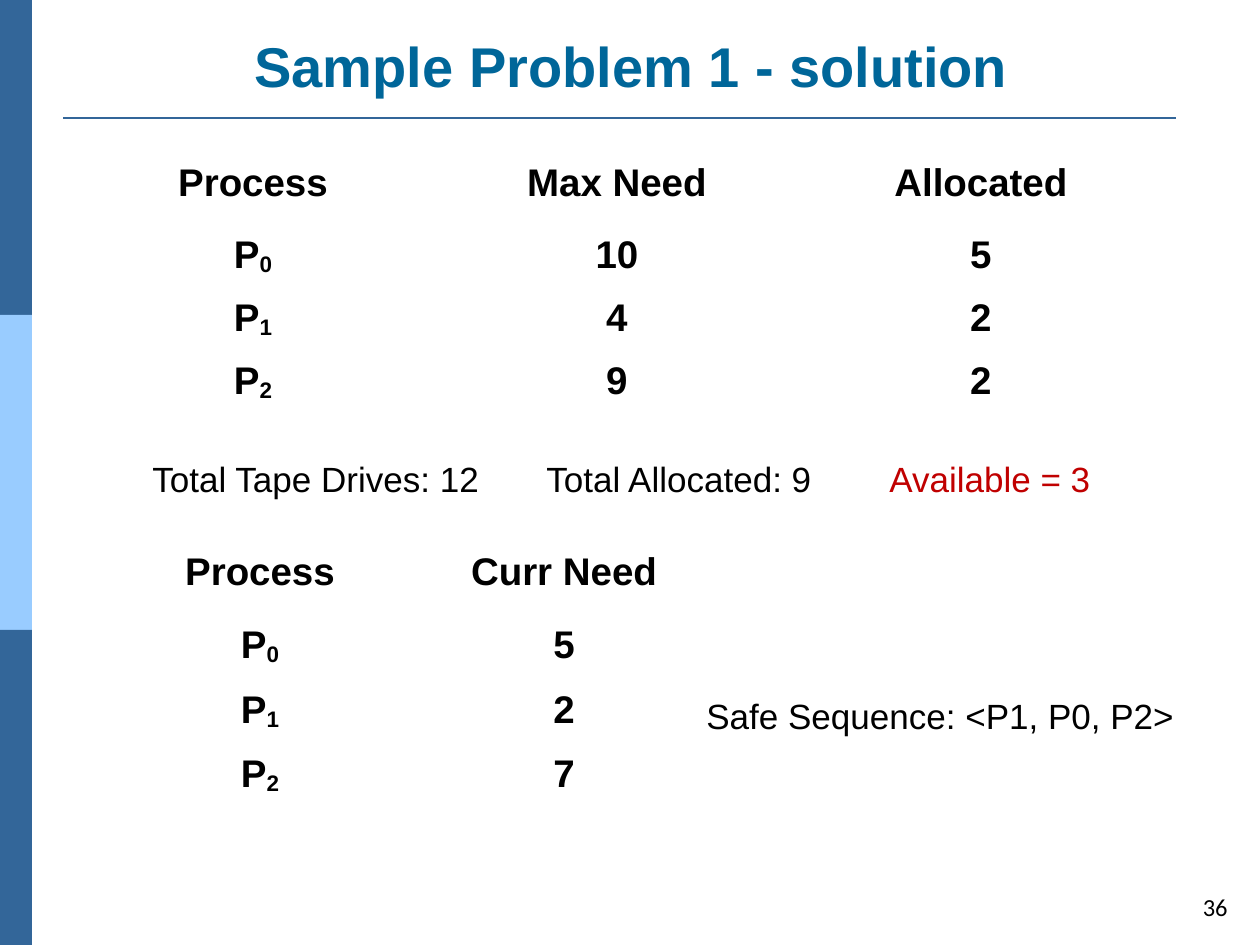
from lxml import etree
from pptx import Presentation
from pptx.dml.color import RGBColor
from pptx.enum.shapes import MSO_CONNECTOR, MSO_SHAPE
from pptx.enum.text import MSO_ANCHOR, MSO_AUTO_SIZE, PP_ALIGN
from pptx.oxml.ns import qn
from pptx.util import Emu, Pt

LEFT, CENTER, RIGHT = PP_ALIGN.LEFT, PP_ALIGN.CENTER, PP_ALIGN.RIGHT
TOP, MIDDLE, BOTTOM = MSO_ANCHOR.TOP, MSO_ANCHOR.MIDDLE, MSO_ANCHOR.BOTTOM
FIT_SHAPE = MSO_AUTO_SIZE.SHAPE_TO_FIT_TEXT
RECT, STRAIGHT = MSO_SHAPE.RECTANGLE, MSO_CONNECTOR.STRAIGHT

EMU_PER_PX = 914400 / 126
NAVY, SKY, TEAL, RED, BLACK = "336699", "99CCFF", "006699", "C00000", "000000"


def px(n):
    return Emu(round(n * EMU_PER_PX))


def color(hex_string):
    return RGBColor.from_string(hex_string)


def style_run(r, size, hex_color=BLACK, bold=False, font="Arial"):
    r.font.size = Pt(size)
    r.font.name = font
    r.font.bold = bold
    r.font.color.rgb = color(hex_color)


def add_bar(s, top, height, fill):
    sp = s.shapes.add_shape(RECT, 0, px(top), px(32), px(height))
    sp.shadow.inherit = False
    sp.fill.solid()
    sp.fill.fore_color.rgb = color(fill)
    sp.line.fill.background()


def add_rule(s, x1, x2, y):
    line = s.shapes.add_connector(STRAIGHT, px(x1), px(y), px(x2), px(y))
    line.line.color.rgb = color(NAVY)
    line.line.width = Pt(1.5)
    etree.SubElement(line._element.spPr, qn("a:effectLst"))


def add_text(s, box, text, size, align=LEFT, anchor=TOP, **style):
    sp = s.shapes.add_textbox(*map(px, box))
    tf = sp.text_frame
    tf.word_wrap = True
    tf.vertical_anchor = anchor
    tf.text = text
    p = tf.paragraphs[0]
    p.alignment = align
    style_run(p.runs[0], size, **style)
    return tf


def add_tabs(p, stops):
    tabs = etree.SubElement(p._p.get_or_add_pPr(), qn("a:tabLst"))
    for stop in stops:
        etree.SubElement(tabs, qn("a:tab"), pos=str(px(stop)), algn="l")


def fill_cell(cell, text, subscript):
    cell.fill.background()
    p = cell.text_frame.paragraphs[0]
    p.text = text
    p.alignment = CENTER
    if subscript:
        r = p.add_run()
        r.text = subscript
        r.font._element.set("baseline", "-12000")
    for r in p.runs:
        style_run(r, 22, bold=True)


def add_process_table(s, left, top, col_width, row_heights, headers, values):
    """Values hold one row per process; process names are numbered from P0."""
    rows = [("Process", *headers)] + [("P", *row) for row in values]
    table = s.shapes.add_table(len(rows), len(rows[0]), px(left), px(top),
                               px(col_width * len(rows[0])),
                               px(sum(row_heights))).table
    table.first_row = table.horz_banding = False
    for column in table.columns:
        column.width = px(col_width)
    for i, (row, height) in enumerate(zip(rows, row_heights)):
        table.rows[i].height = px(height)
        for j, text in enumerate(row):
            subscript = str(i - 1) if i and j == 0 else ""
            fill_cell(table.cell(i, j), text, subscript)


def main():
    prs = Presentation()
    prs.slide_width, prs.slide_height = px(1260), px(945)
    s = prs.slides.add_slide(prs.slide_layouts[6])

    for i, fill in enumerate((NAVY, SKY, NAVY)):
        add_bar(s, 315 * i, 315, fill)
    add_rule(s, 63, 1176, 118)
    add_text(s, (157, 5, 949, 100), "Sample Problem 1 - solution", 32,
             CENTER, BOTTOM, hex_color=TEAL, bold=True)

    add_process_table(s, 71, 155, 364, (72, 63, 63, 49),
                      ("Max Need", "Allocated"),
                      (("10", "5"), ("4", "2"), ("9", "2")))
    add_process_table(s, 108, 544, 304, (73, 65, 64, 53),
                      ("Curr Need",), (("5",), ("2",), ("7",)))

    tf = add_text(s, (140, 451, 1005, 55),
                  "Total Tape Drives: 12\tTotal Allocated: 9\t", 20)
    tf.auto_size = FIT_SHAPE
    p = tf.paragraphs[0]
    add_tabs(p, (394, 737))
    r = p.add_run()
    r.text = "Available = 3"
    style_run(r, 20, RED)

    tf = add_text(s, (694, 688, 503, 55), "Safe Sequence: <P1, P0, P2>", 20)
    tf.auto_size = FIT_SHAPE
    add_text(s, (1183, 881, 57, 52), "36", 14, RIGHT, MIDDLE, font="Calibri")

    prs.save("out.pptx")


if __name__ == "__main__":
    main()
